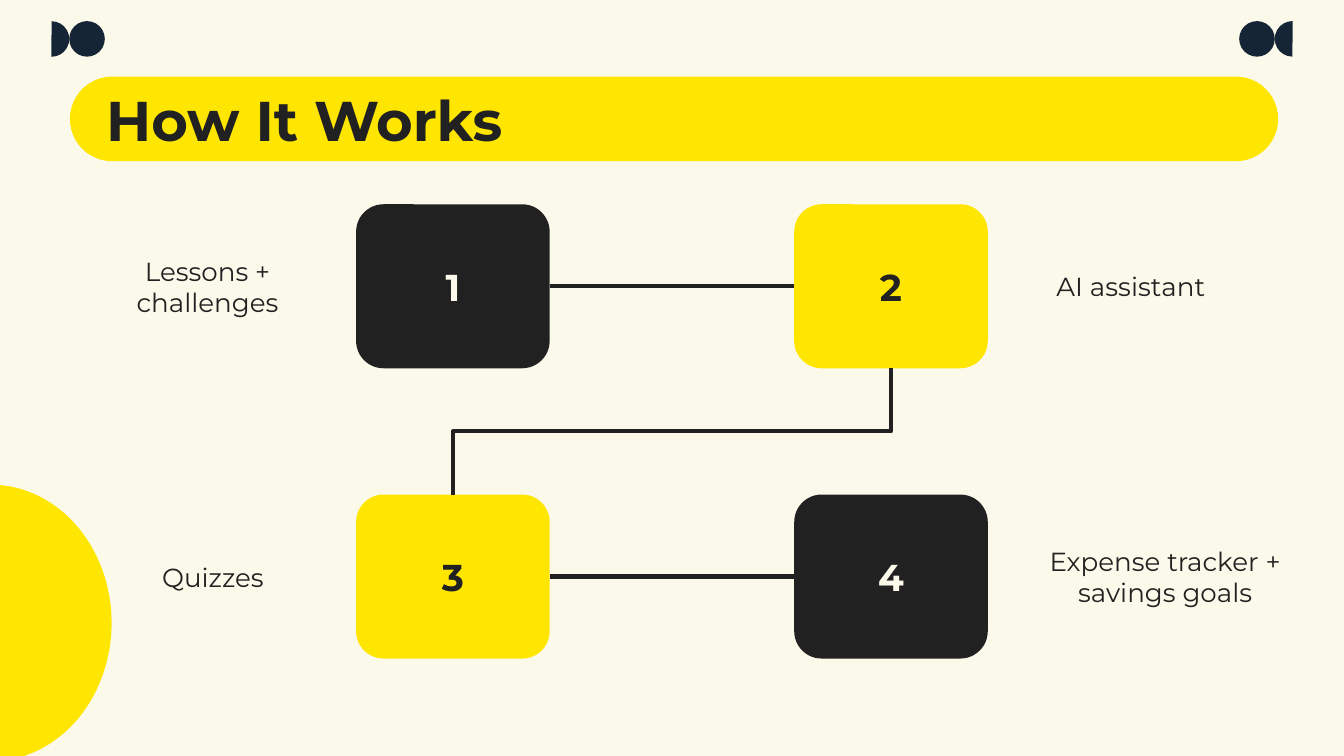
from dataclasses import dataclass

from lxml.etree import SubElement
from pptx import Presentation
from pptx.dml.color import RGBColor
from pptx.enum.shapes import MSO_CONNECTOR, MSO_SHAPE
from pptx.enum.text import MSO_ANCHOR, MSO_AUTO_SIZE, PP_ALIGN
from pptx.oxml.ns import qn
from pptx.util import Inches, Pt

COLORS = {"cream": "FBF9EA", "yellow": "FFE600", "ink": "212121", "navy": "162535"}
FONT = "Montserrat"
TOP, LEFT, BOTTOM, RIGHT = range(4)  # connection sites


@dataclass
class Box:
    """A rectangle in inches."""
    left: float
    top: float
    width: float
    height: float

    def share(self, left, top, width, height):
        """Return an inner box given as shares of this one."""
        return Box(self.left + left * self.width, self.top + top * self.height,
                   width * self.width, height * self.height)

    def lengths(self):
        return [Inches(value) for value in (self.left, self.top, self.width, self.height)]


PAGE = Box(0, 0, 10, 5.625)


def color(name):
    return RGBColor.from_string(COLORS[name])


def add_filled_shape(slide, kind, box, fill, adjustments=(), rotation=0):
    shape = slide.shapes.add_shape(kind, *box.lengths())
    shape.shadow.inherit = False
    shape.fill.solid()
    shape.fill.fore_color.rgb = color(fill)
    shape.line.fill.background()
    shape.rotation = rotation
    for index, value in enumerate(adjustments):
        shape.adjustments[index] = value
    return shape


def write(shape, text, size, ink="ink", bold=False, align=PP_ALIGN.CENTER, inset=0.1):
    frame = shape.text_frame
    frame.text = text
    frame.word_wrap = True
    frame.auto_size = MSO_AUTO_SIZE.NONE
    frame.vertical_anchor = MSO_ANCHOR.MIDDLE
    frame.margin_left = frame.margin_right = Inches(inset)
    frame.margin_top = frame.margin_bottom = Inches(inset)
    paragraph = frame.paragraphs[0]
    paragraph.alignment = align
    font = paragraph.runs[0].font
    font.name, font.size, font.bold = FONT, Pt(size), bold
    font.color.rgb = color(ink)


def add_ornament(slide, box, mirrored):
    """A disc and a half disc; the half disc sits on the outer side."""
    half_left, disc_left, rotation = (0.5, 0, 0) if mirrored else (0, 0.5, 180)
    add_filled_shape(slide, MSO_SHAPE.PIE, box.share(half_left, 0, 0.5, 1),
                     "navy", (54.58, 162), rotation)
    add_filled_shape(slide, MSO_SHAPE.OVAL, box.share(disc_left, 0, 0.5, 1), "navy")


def add_decorations(slide, box):
    add_ornament(slide, box.share(0.025, 0.028, 0.053, 0.047), mirrored=False)
    add_ornament(slide, box.share(0.922, 0.028, 0.053, 0.047), mirrored=True)
    add_filled_shape(slide, MSO_SHAPE.PIE, box.share(-0.097, 0.641, 0.18, 0.366),
                     "yellow", (53.46, 162), rotation=180)


def add_title(slide, box):
    add_filled_shape(slide, MSO_SHAPE.ROUNDED_RECTANGLE, box, "yellow", (0.5,))
    title = slide.shapes.title
    slide.shapes._spTree.append(title._element)  # in front of the band
    title.left, title.top, title.width, title.height = box.share(0.03, 0, 0.938, 1).lengths()
    write(title, "How It Works", 30, bold=True, align=PP_ALIGN.LEFT, inset=0)


def connect(slide, start, start_site, end, end_site):
    connector = slide.shapes.add_connector(MSO_CONNECTOR.ELBOW, 0, 0, 0, 0)
    connector.begin_connect(start, start_site)
    connector.end_connect(end, end_site)
    connector.line.color.rgb = color("ink")
    connector.line.width = Pt(2.25)
    SubElement(connector._element.spPr, qn("a:effectLst"))
    return connector


def turn_upright(connector):
    """Make an elbow leave and arrive vertically: a quarter turn about its centre."""
    width, height = connector.width, connector.height
    center_x = connector.left + width // 2
    center_y = connector.top + height // 2
    connector.left, connector.top = center_x - height // 2, center_y - width // 2
    connector.width, connector.height = height, width
    transform = connector._element.spPr.find(qn("a:xfrm"))
    transform.attrib.pop("flipH", None)
    transform.set("rot", "5400000")


def add_steps(slide, box):
    """Four numbered cards in two columns and rows, joined in reading order."""
    # number, column, row, fill, number colour
    steps = [
        (1, 0, 0, "ink", "cream"),
        (3, 0, 1, "yellow", "ink"),
        (2, 1, 0, "yellow", "ink"),
        (4, 1, 1, "ink", "cream"),
    ]
    card_width, card_height = 1.44 / 4.7, 1.22 / 3.38
    cards = {}
    for number, column, row, fill, ink in steps:
        place = box.share(column * (1 - card_width), row * (1 - card_height),
                          card_width, card_height)
        card = add_filled_shape(slide, MSO_SHAPE.ROUNDED_RECTANGLE, place, fill, (0.167,))
        write(card, str(number), 20, ink, bold=True)
        cards[number] = card

    connect(slide, cards[1], RIGHT, cards[2], LEFT)
    turn_upright(connect(slide, cards[2], BOTTOM, cards[3], TOP))
    connect(slide, cards[3], RIGHT, cards[4], LEFT)


def add_labels(slide, box):
    # text, left share, row, width share
    labels = [
        ("Lessons + challenges", 0.057, 0, 0.195),
        ("Quizzes", 0.078, 1, 0.161),
        ("AI assistant", 0.761, 0, 0.161),
        ("Expense tracker + savings goals", 0.761, 1, 0.212),
    ]
    label_height = 1.12 / 3.28
    for text, left, row, width in labels:
        place = box.share(left, row * (1 - label_height), width, label_height)
        write(slide.shapes.add_textbox(*place.lengths()), text, 14)


def main():
    presentation = Presentation()
    presentation.slide_width, presentation.slide_height = PAGE.lengths()[2:]
    slide = presentation.slides.add_slide(presentation.slide_layouts[5])
    slide.background.fill.solid()
    slide.background.fill.fore_color.rgb = color("cream")

    add_decorations(slide, PAGE)
    add_title(slide, Box(0.52, 0.57, 8.99, 0.63))
    add_steps(slide, Box(2.65, 1.52, 4.7, 3.38))
    add_labels(slide, Box(0, 1.57, 10, 3.28))
    presentation.save("out.pptx")


if __name__ == "__main__":
    main()
